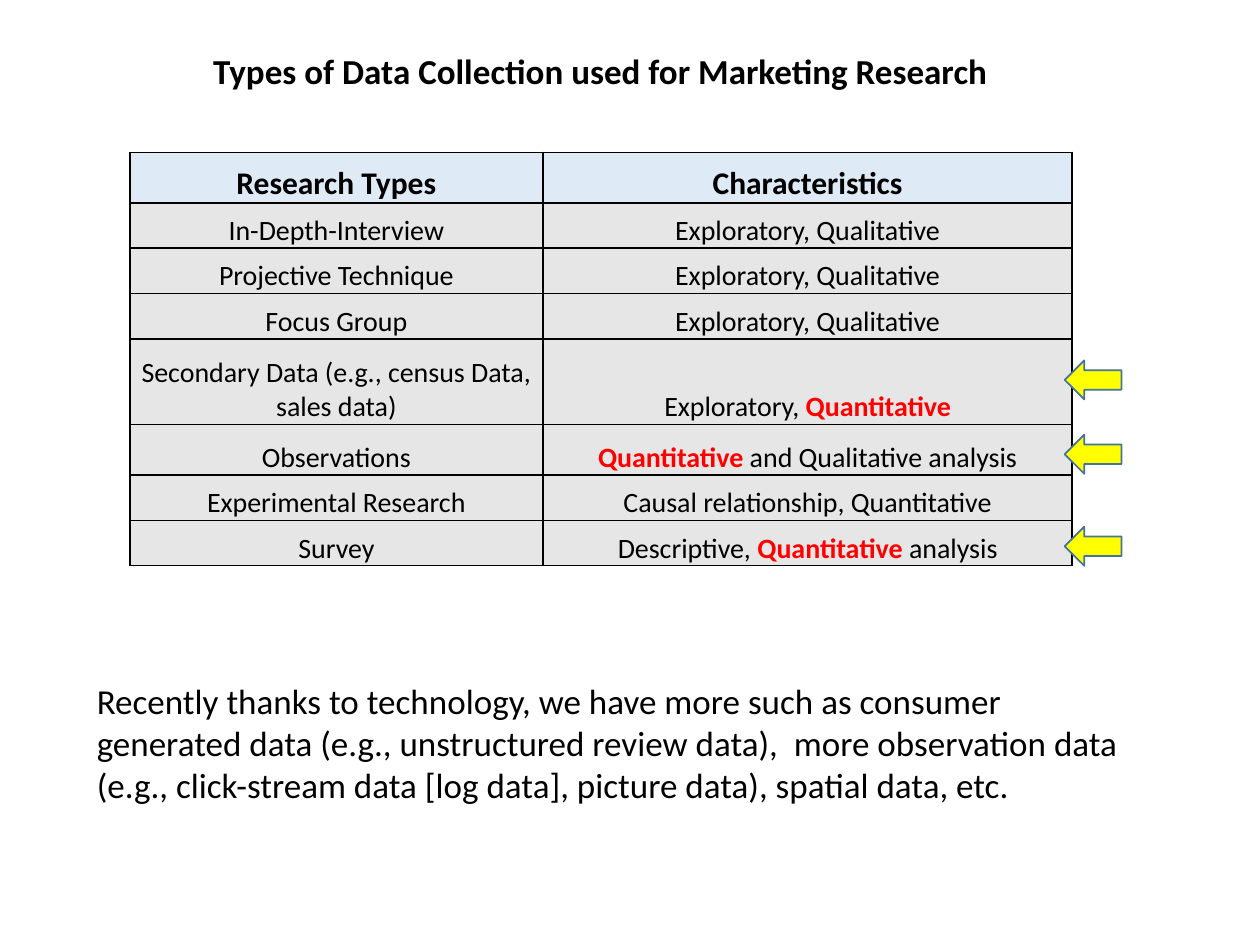
from lxml import etree
from pptx import Presentation
from pptx import util as u
from pptx.dml.color import RGBColor
from pptx.enum import shapes, text
from pptx.oxml import ns

In = u.Inches


def rgb(value):
    return RGBColor.from_string(value)


def write(p, content, size, bold=False):
    """Fill a paragraph; parts between asterisks become bold red."""
    for i, part in enumerate(content.split("*")):
        if not part:
            continue
        r = p.add_run()
        r.text = part
        marked = i % 2 == 1
        fmt = {"name": "Calibri", "size": u.Pt(size), "bold": bold or marked}
        for name, value in fmt.items():
            setattr(r.font, name, value)
        r.font.color.rgb = rgb("FF0000" if marked else "000000")


prs = Presentation()
prs.slide_width, prs.slide_height = In(10), In(7.5)
s = prs.slides.add_slide(prs.slide_layouts[6])

# Table of research types: row height, type, characteristics
rows = [
    (0.4, "Research Types", "Characteristics"),
    (0.36, "In-Depth-Interview", "Exploratory, Qualitative"),
    (0.36, "Projective Technique", "Exploratory, Qualitative"),
    (0.36, "Focus Group", "Exploratory, Qualitative"),
    (0.68, "Secondary Data (e.g., census Data, sales data)",
     "Exploratory, *Quantitative*"),
    (0.4, "Observations", "*Quantitative *and Qualitative analysis"),
    (0.36, "Experimental Research", "Causal relationship, Quantitative"),
    (0.36, "Survey", "Descriptive, *Quantitative *analysis"),
]
widths = [3.28, 4.2]
table = s.shapes.add_table(len(rows), len(widths), In(1.03), In(1.21),
                           In(sum(widths)), In(sum(row[0] for row in rows))).table
for col, width in zip(table.columns, widths):
    col.width = In(width)

cell_format = {
    "margin_left": In(0.01), "margin_right": In(0.01),
    "margin_top": In(0.01), "margin_bottom": 0,
    "vertical_anchor": text.MSO_ANCHOR.BOTTOM,
}
for i, (height, *contents) in enumerate(rows):
    table.rows[i].height = In(height)
    header = i == 0
    for j, content in enumerate(contents):
        cell = table.cell(i, j)
        for name, value in cell_format.items():
            setattr(cell, name, value)
        p = cell.text_frame.paragraphs[0]
        p.alignment = text.PP_ALIGN.CENTER
        write(p, content, 18 if header else 16, bold=header)
        # Borders come before the fill in the cell properties
        tc_pr = cell._tc.get_or_add_tcPr()
        for side in ("a:lnL", "a:lnR", "a:lnT", "a:lnB"):
            ln = etree.SubElement(tc_pr, ns.qn(side), w=str(u.Pt(1)))
            fill = etree.SubElement(ln, ns.qn("a:solidFill"))
            etree.SubElement(fill, ns.qn("a:srgbClr"), val="000000")
        cell.fill.solid()
        cell.fill.fore_color.rgb = rgb("DEEBF7" if header else "E7E6E6")

# Title and closing remark
boxes = [
    ((0.75, 0.34, 8.03, 0.44), text.PP_ALIGN.CENTER, True,
     "Types of Data Collection used for Marketing Research"),
    ((0.67, 5.34, 8.5, 1.45), text.PP_ALIGN.LEFT, False,
     "Recently thanks to technology, we have more such as consumer generated "
     "data (e.g., unstructured review data),  more observation data (e.g., "
     "click-stream data [log data], picture data), spatial data, etc."),
]
for box, align, bold, content in boxes:
    tf = s.shapes.add_textbox(*map(In, box)).text_frame
    tf.word_wrap = True
    p = tf.paragraphs[0]
    p.alignment = align
    write(p, content, 20, bold)

# Arrows pointing at the quantitative sources
for top in (4.18, 3.45, 2.86):
    sp = s.shapes.add_shape(shapes.MSO_SHAPE.RIGHT_ARROW,
                            In(8.45), In(top), In(0.45), In(0.31))
    sp.rotation = 180
    sp.shadow.inherit = False
    sp.fill.solid()
    sp.fill.fore_color.rgb = rgb("FFFF00")
    sp.line.color.rgb = rgb("43739E")
    sp.line.width = u.Pt(1)

prs.save("out.pptx")
